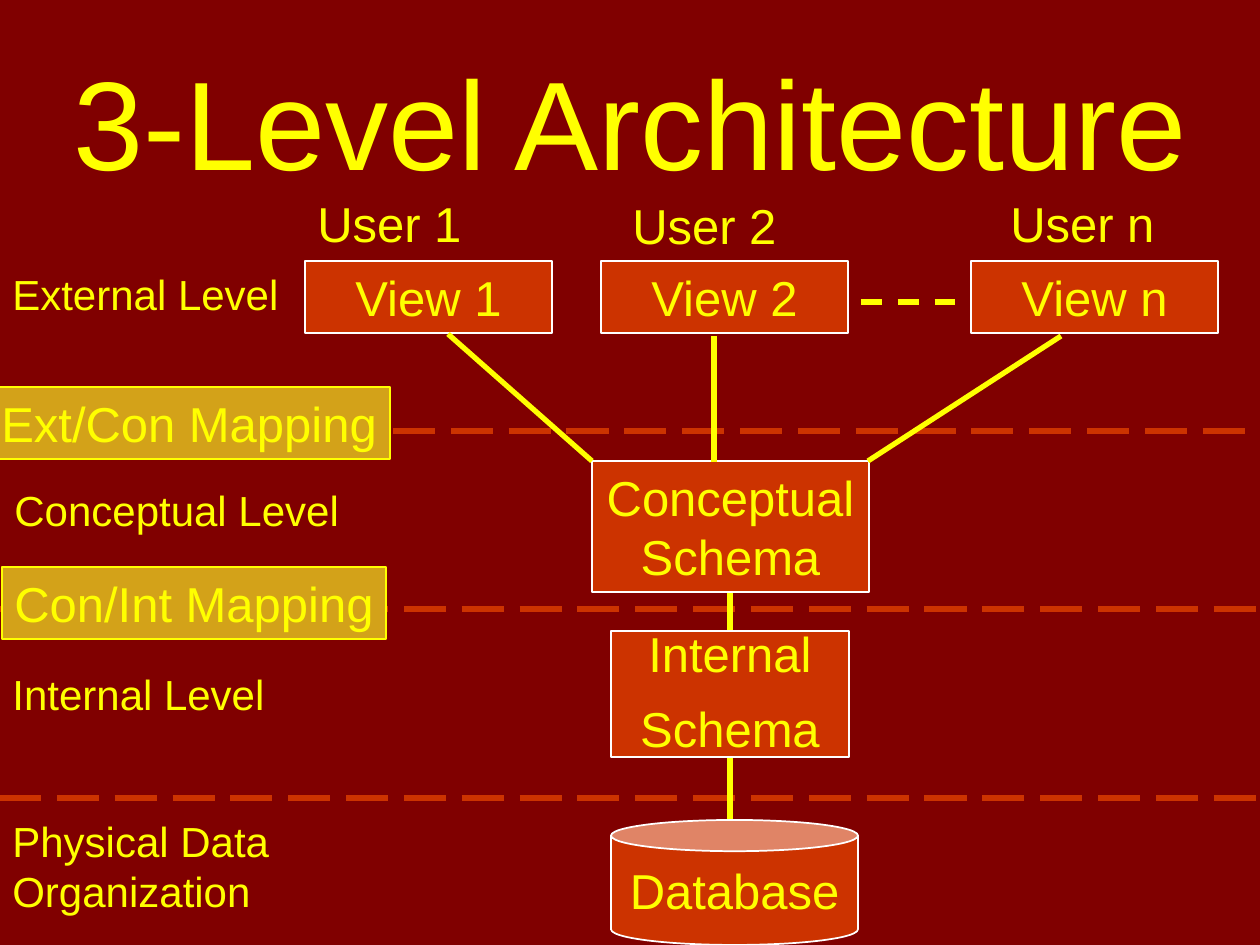
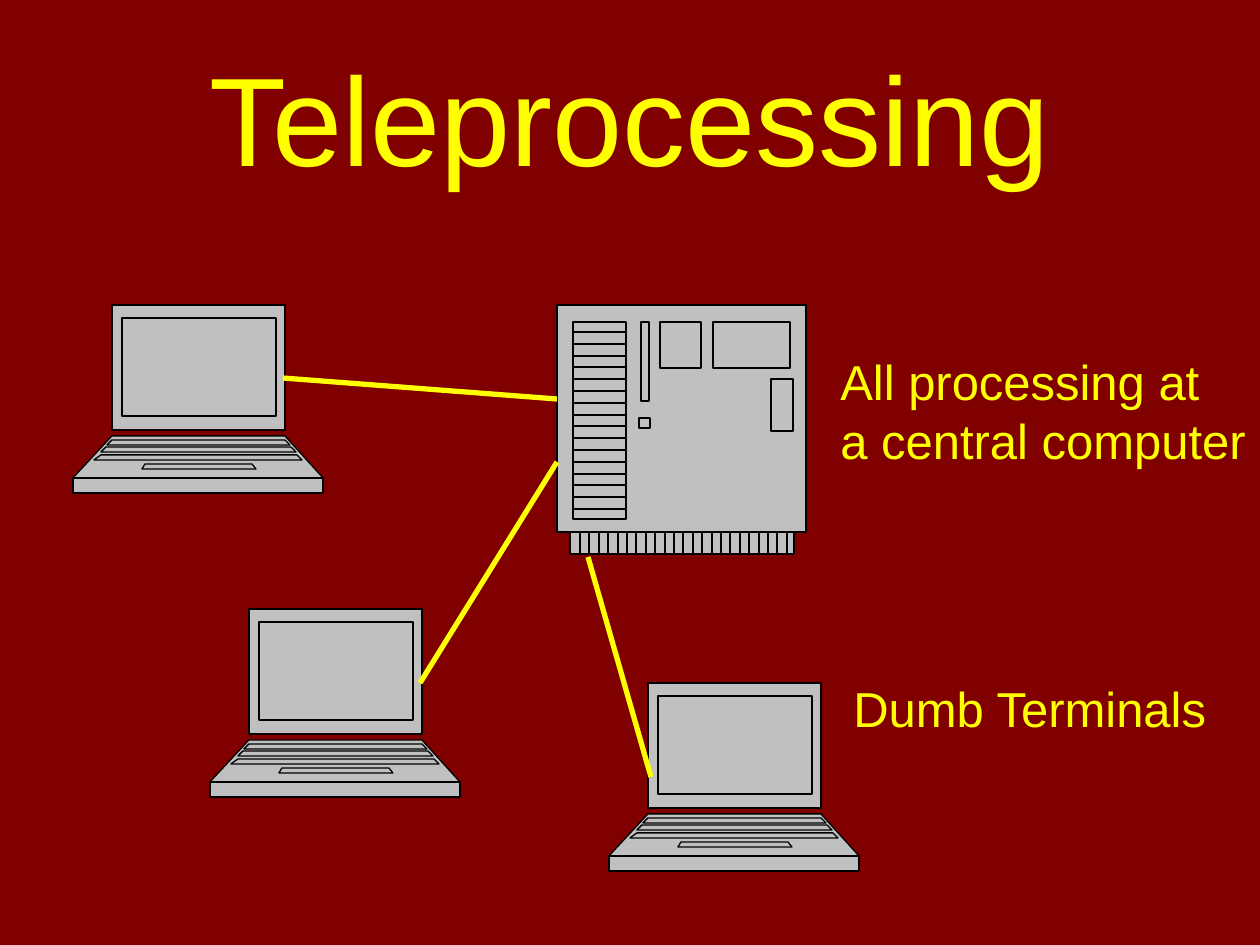
from lxml import etree
from pptx import Presentation
from pptx.dml.color import RGBColor
from pptx.enum.dml import MSO_LINE
from pptx.enum.shapes import MSO_CONNECTOR, MSO_SHAPE
from pptx.enum.text import MSO_ANCHOR, PP_ALIGN
from pptx.oxml.ns import qn
from pptx.util import Pt

RECTANGLE, CAN = MSO_SHAPE.RECTANGLE, MSO_SHAPE.CAN
STRAIGHT = MSO_CONNECTOR.STRAIGHT
DASH, LONG_DASH = MSO_LINE.DASH, MSO_LINE.LONG_DASH
LEFT, CENTER = PP_ALIGN.LEFT, PP_ALIGN.CENTER
TOP, MIDDLE = MSO_ANCHOR.TOP, MSO_ANCHOR.MIDDLE

COLORS = {
    "background": "800000", "text": "FFFF00", "box": "CC3300", "mapping": "D3A219",
    "outline": "FFFFFF", "device": "C0C0C0", "ink": "000000",
}
FONT = "Arial"
TITLE_SIZE, BODY_SIZE, LEVEL_SIZE = 72, 28, 24
WIDTH, HEIGHT = 1260, 945
SCALE = 9144000 / WIDTH

LEVELS = [
    ("External Level", (0, 262, 315, 63)),
    ("Conceptual Level", (2, 478, 378, 63)),
    ("Internal Level", (0, 662, 284, 63)),
    ("Physical Data Organization", (0, 809, 378, 113)),
]
MAPPINGS = [
    ("Ext/Con Mapping", (-11, 387, 401, 72)),
    ("Con/Int Mapping", (2, 567, 384, 72)),
]
LEVEL_BORDERS = [(-12, 1260, 431), (-1, 1270, 609), (-1, 1270, 798)]
USERS = [("User 1", 305, 187), ("User 2", 620, 189), ("User n", 998, 187)]
VIEWS = [("View 1", 305), ("View 2", 601), ("View n", 971)]
VIEW_TOP, VIEW_WIDTH, VIEW_HEIGHT = 261, 247, 72
CONCEPTUAL_BOX = (592, 461, 277, 131)
INTERNAL_BOX = (611, 631, 238, 126)
DATABASE_BOX = (611, 820, 247, 125)
SCHEMA_LINKS = [(730, 578, 730, 631), (730, 757, 730, 838)]
VIEW_LINKS = [(868, 461, 1061, 336), (592, 461, 448, 334), (714, 462, 714, 336)]
MORE_VIEWS = (861, 302, 955, 302)

NOTES = [
    (["All processing at", "a central computer"], (828, 345, 430, 131)),
    (["Dumb Terminals"], (841, 672, 384, 72)),
]
TERMINAL_ORIGINS = [(73, 305), (210, 609), (609, 683)]
TERMINAL_LINKS = [(557, 399, 283, 378), (557, 462, 420, 683), (588, 557, 651, 777)]
TERMINAL_PARTS = [
    (39, 212, 39, 212, 0, 125),
    (39, 212, 0, 250, 131, 173),
    (0, 250, 0, 250, 173, 188),
    (49, 203, 49, 203, 13, 111),
    (39, 212, 34, 217, 135, 140),
    (72, 179, 69, 183, 159, 164),
    (33, 218, 28, 223, 142, 147),
    (28, 224, 21, 229, 150, 155),
]
COMPUTER_ORIGIN = (557, 305)
COMPUTER_CASE = [(249, 0), (0, 0), (0, 227), (13, 227), (13, 249),
                 (237, 249), (237, 227), (249, 227)]
COMPUTER_PANELS = [
    (16, 69, 17, 214), (84, 92, 17, 96), (82, 93, 113, 123),
    (103, 144, 17, 63), (156, 233, 17, 63), (214, 236, 74, 126),
]
SLOT_COUNT, SLOT_TOP, SLOT_STEP = 16, 27, 11.8
PIN_COUNT, PIN_LEFT, PIN_STEP = 23, 23, 9.4


def emu(*pixels):
    return [round(value * SCALE) for value in pixels]


def color(name):
    return RGBColor.from_string(COLORS[name])


def write(shape, lines, size, align=LEFT, anchor=TOP, wrap=True,
          line_spacing=None, space_before=None):
    frame = shape.text_frame
    frame.word_wrap = wrap
    frame.vertical_anchor = anchor
    frame.text = "\n".join(lines)
    for paragraph in frame.paragraphs:
        paragraph.alignment = align
        paragraph.line_spacing = line_spacing
        paragraph.space_before = space_before
        paragraph.font.name = FONT
        paragraph.font.size = Pt(size)
        paragraph.font.color.rgb = color("text")


def add_text(slide, lines, bounds, size, **style):
    write(slide.shapes.add_textbox(*emu(*bounds)), lines, size, **style)


def paint(shape, fill, line, width):
    shape.shadow.inherit = False
    shape.fill.solid()
    shape.fill.fore_color.rgb = color(fill)
    shape.line.color.rgb = color(line)
    shape.line.width = Pt(width)


def add_box(slide, lines, bounds, kind=RECTANGLE, fill="box", line="outline",
            align=CENTER, **style):
    shape = slide.shapes.add_shape(kind, *emu(*bounds))
    paint(shape, fill, line, 1)
    write(shape, lines, BODY_SIZE, align=align, **style)


def add_line(slide, ends, line="text", dash=None):
    connector = slide.shapes.add_connector(STRAIGHT, *emu(*ends))
    connector.line.color.rgb = color(line)
    connector.line.width = Pt(3)
    connector.line.dash_style = dash
    etree.SubElement(connector.element.spPr, qn("a:effectLst"))


def add_device(slide, origin, contours):
    first, *others = contours
    builder = slide.shapes.build_freeform(*first[0], scale=SCALE)
    builder.add_line_segments(first[1:], close=True)
    for contour in others:
        builder.move_to(*contour[0])
        builder.add_line_segments(contour[1:], close=True)
    shape = builder.convert_to_shape(*emu(*origin))
    paint(shape, "device", "ink", 0.75)
    split_contours(shape)


def split_contours(shape):
    combined = shape.element.find(".//" + qn("a:path"))
    outlines = combined.getparent()
    for step in list(combined):
        if step.tag == qn("a:moveTo"):
            outline = etree.SubElement(outlines, qn("a:path"), dict(combined.attrib))
        outline.append(step)
    outlines.remove(combined)


def trapezoid(top_left, top_right, bottom_left, bottom_right, top, bottom):
    return [(top_left, top), (top_right, top), (bottom_right, bottom), (bottom_left, bottom)]


def computer_contours():
    panels = [trapezoid(left, right, left, right, top, bottom)
              for left, right, top, bottom in COMPUTER_PANELS]
    slots = [[(16, SLOT_TOP + i * SLOT_STEP), (69, SLOT_TOP + i * SLOT_STEP)]
             for i in range(SLOT_COUNT)]
    pins = [[(PIN_LEFT + i * PIN_STEP, 227), (PIN_LEFT + i * PIN_STEP, 249)]
            for i in range(PIN_COUNT)]
    return [COMPUTER_CASE, [(13, 227), (237, 227)]] + panels + slots + pins


def add_slide(presentation, title, bounds):
    slide = presentation.slides.add_slide(presentation.slide_layouts[6])
    slide.background.fill.solid()
    slide.background.fill.fore_color.rgb = color("background")
    add_text(slide, [title], bounds, TITLE_SIZE, align=CENTER, anchor=MIDDLE)
    return slide


def build_architecture(presentation):
    slide = add_slide(presentation, "3-Level Architecture", (0, 42, 1260, 157))
    for text, bounds in LEVELS:
        add_text(slide, [text], bounds, LEVEL_SIZE)
    for left, right, y in LEVEL_BORDERS:
        add_line(slide, (left, y, right, y), "box", LONG_DASH)
    for text, bounds in MAPPINGS:
        add_box(slide, [text], bounds, fill="mapping", line="text", align=LEFT, wrap=False)
    for ends in SCHEMA_LINKS:
        add_line(slide, ends)
    for text, left in VIEWS:
        add_box(slide, [text], (left, VIEW_TOP, VIEW_WIDTH, VIEW_HEIGHT))
    add_box(slide, ["Conceptual Schema"], CONCEPTUAL_BOX)
    add_box(slide, ["Internal", "Schema"], INTERNAL_BOX,
            line_spacing=0.75, space_before=Pt(17.5))
    add_box(slide, ["Database"], DATABASE_BOX, CAN, anchor=MIDDLE, wrap=False)
    for ends in VIEW_LINKS:
        add_line(slide, ends)
    add_line(slide, MORE_VIEWS, dash=DASH)
    for text, left, top in USERS:
        add_text(slide, [text], (left, top, 179, 72), BODY_SIZE)


def build_teleprocessing(presentation):
    slide = add_slide(presentation, "Teleprocessing", (63, 38, 1134, 157))
    add_device(slide, COMPUTER_ORIGIN, computer_contours())
    terminal = [trapezoid(*part) for part in TERMINAL_PARTS]
    for origin in TERMINAL_ORIGINS:
        add_device(slide, origin, terminal)
    for ends in TERMINAL_LINKS:
        add_line(slide, ends)
    for lines, bounds in NOTES:
        add_text(slide, lines, bounds, BODY_SIZE, wrap=False)


presentation = Presentation()
presentation.slide_width, presentation.slide_height = emu(WIDTH, HEIGHT)
build_architecture(presentation)
build_teleprocessing(presentation)
presentation.save("out.pptx")
